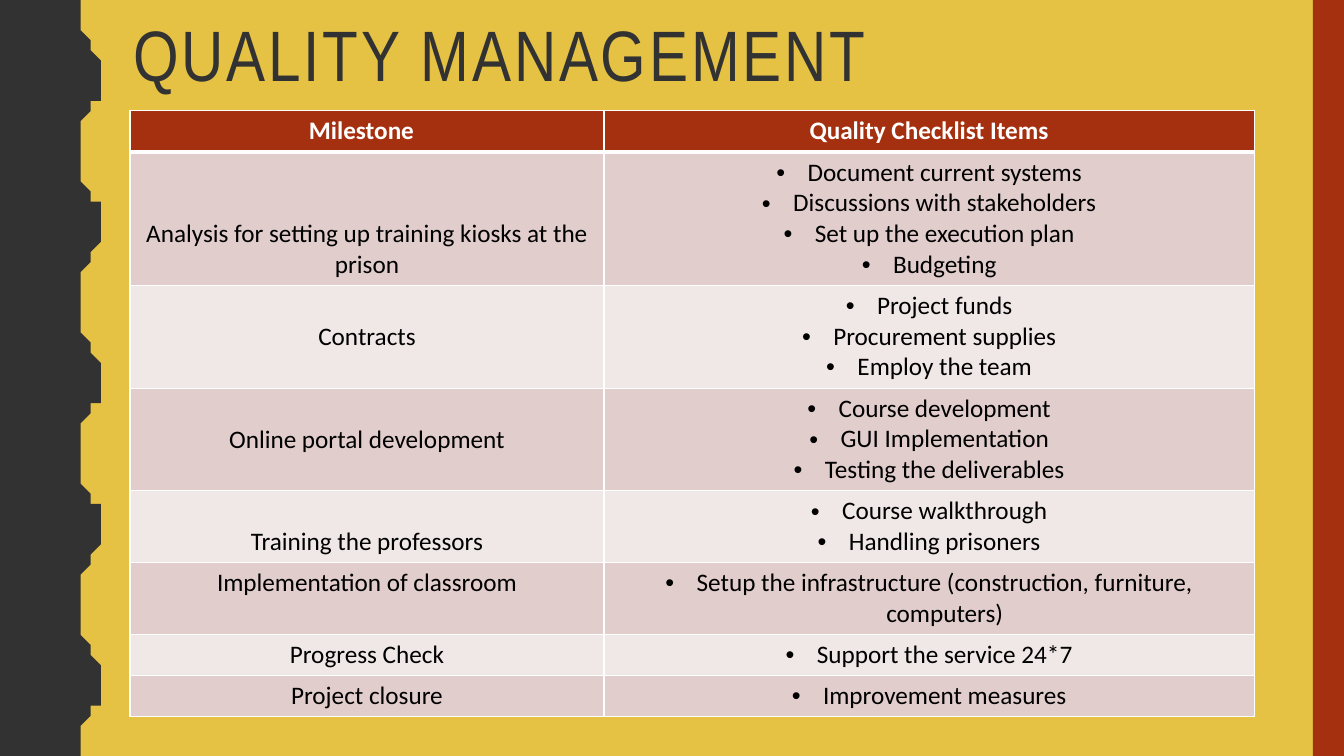
import pptx
import pptx.dml.color
import pptx.enum.shapes
import pptx.enum.text
import pptx.oxml.ns
import pptx.util
from lxml import etree

ALIGN = pptx.enum.text.PP_ALIGN
ANCHOR = pptx.enum.text.MSO_ANCHOR
COLORS = {
    "gold": "E5C243",
    "charcoal": "323232",
    "rust": "A5300F",
    "rose": "E1CDCC",
    "pale": "F0E8E7",
    "white": "FFFFFF",
    "black": "000000",
}

# Grid: square cells, ten to the inch
GRID_COLUMNS, GRID_ROWS = 133.3, 75

# Half of one wave, from trough to crest, as (column, row)
HALF_WAVE = [(7.8, 0), (7.8, 0.7), (7.9, 1.4), (8, 2), (8.1, 2.5), (8.3, 2.9),
             (8.5, 3.3), (8.7, 3.8), (8.9, 4.2), (9.1, 4.6), (9.3, 5),
             (9.5, 5.5), (9.6, 6.1), (9.7, 6.8), (9.7, 7.5)]
WAVE_COUNT = 5

# Milestone, its vertical place, row height, checklist items
MILESTONES = [
    ("Analysis for setting up training kiosks at the prison", ANCHOR.BOTTOM, 13.1,
     ["Document current systems", "Discussions with stakeholders",
      "Set up the execution plan", "Budgeting"]),
    ("Contracts", ANCHOR.MIDDLE, 10.2,
     ["Project funds", "Procurement supplies", "Employ the team"]),
    ("Online portal development", ANCHOR.MIDDLE, 10.2,
     ["Course development", "GUI Implementation", "Testing the deliverables"]),
    ("Training the professors", ANCHOR.BOTTOM, 7.1,
     ["Course walkthrough", "Handling prisoners"]),
    ("Implementation of classroom", ANCHOR.TOP, 7.1,
     ["Setup the infrastructure (construction, furniture, computers)"]),
    ("Progress Check", ANCHOR.TOP, 4.1, ["Support the service 24*7"]),
    ("Project closure", ANCHOR.TOP, 4.1, ["Improvement measures"]),
]


def grid(cells):
    return pptx.util.Inches(cells / 10)


def color(name):
    return pptx.dml.color.RGBColor.from_string(COLORS[name])


def add_element(parent, tag, **attributes):
    return etree.SubElement(parent, pptx.oxml.ns.qn(tag), attributes)


def write_text(frame, lines, font="Calibri", size=18, ink="black", bold=False,
               align=ALIGN.CENTER, bullet=False, line_spacing=None, tracking=None):
    for index, line in enumerate(lines):
        paragraph = frame.paragraphs[0] if index == 0 else frame.add_paragraph()
        paragraph.alignment = align
        if line_spacing:
            paragraph.line_spacing = line_spacing
        if bullet:
            properties = paragraph._p.get_or_add_pPr()
            properties.set("marL", str(grid(3.1)))
            properties.set("indent", str(-grid(3.1)))
            add_element(properties, "a:buFont", typeface="Arial")
            add_element(properties, "a:buChar", char="•")
        run = paragraph.add_run()
        run.text = line
        run.font.name = font
        run.font.size = pptx.util.Pt(size)
        run.font.bold = bold
        run.font.color.rgb = color(ink)
        if tracking:
            run._r.get_or_add_rPr().set("spc", str(tracking * 100))


class SlideBuilder:
    def __init__(self, presentation, background):
        self.slide = presentation.slides.add_slide(presentation.slide_layouts[5])
        self.slide.background.fill.solid()
        self.slide.background.fill.fore_color.rgb = color(background)

    def paint(self, shape, fill):
        shape.shadow.inherit = False
        shape.fill.solid()
        shape.fill.fore_color.rgb = color(fill)
        shape.line.fill.background()

    def title(self, text, left, top, width, height):
        title = self.slide.shapes.title
        title.left, title.top = grid(left), grid(top)
        title.width, title.height = grid(width), grid(height)
        frame = title.text_frame
        frame.word_wrap = True
        frame.auto_size = pptx.enum.text.MSO_AUTO_SIZE.NONE
        frame.vertical_anchor = ANCHOR.TOP
        write_text(frame, [text], font="Arial Narrow", size=51, ink="charcoal",
                   align=ALIGN.LEFT, line_spacing=0.9, tracking=2)

    def band(self, left, top, width, height, fill):
        shape = self.slide.shapes.add_shape(
            pptx.enum.shapes.MSO_SHAPE.RECTANGLE,
            grid(left), grid(top), grid(width), grid(height))
        self.paint(shape, fill)

    def wavy_edge(self, fill):
        period = GRID_ROWS / WAVE_COUNT
        falling = [(x, period - y) for x, y in reversed(HALF_WAVE[:-1])]
        edge = [(x, y + wave * period) for wave in range(WAVE_COUNT)
                for x, y in HALF_WAVE + falling]
        builder = self.slide.shapes.build_freeform(0, 0, scale=grid(1))
        builder.add_line_segments(edge + [(0, GRID_ROWS)], close=True)
        self.paint(builder.convert_to_shape(), fill)

    def table(self, left, top, widths, heights):
        table = self.slide.shapes.add_table(
            len(heights), len(widths), grid(left), grid(top),
            grid(sum(widths)), grid(sum(heights))).table
        for column, width in zip(table.columns, widths):
            column.width = grid(width)
        for row, height in zip(table.rows, heights):
            row.height = grid(height)
        return table

    def cell(self, cell, lines, fill, anchor=ANCHOR.TOP, top_line=1, bottom_line=1,
             **text_format):
        properties = cell._tc.get_or_add_tcPr()
        edges = {"L": 1, "R": 1, "T": top_line, "B": bottom_line}
        for side, points in edges.items():
            line = add_element(properties, f"a:ln{side}", w=str(pptx.util.Pt(points)))
            solid = add_element(line, "a:solidFill")
            add_element(solid, "a:srgbClr", val=COLORS["white"])
        cell.fill.solid()
        cell.fill.fore_color.rgb = color(fill)
        cell.vertical_anchor = anchor
        write_text(cell.text_frame, lines, **text_format)


def main():
    presentation = pptx.Presentation()
    presentation.slide_width = grid(GRID_COLUMNS)
    presentation.slide_height = grid(GRID_ROWS)
    builder = SlideBuilder(presentation, "gold")

    # Side decoration
    builder.wavy_edge("charcoal")
    builder.band(130.2, 0, 3.1, GRID_ROWS, "rust")

    # Title
    builder.title("QUALITY MANAGEMENT", 12.2, 1.5, 100, 10.4)

    # Table header
    heights = [4.1] + [milestone[2] for milestone in MILESTONES]
    table = builder.table(12.9, 11, [47, 64.5], heights)
    for column, heading in enumerate(["Milestone", "Quality Checklist Items"]):
        builder.cell(table.cell(0, column), [heading], "rust", bottom_line=3,
                     ink="white", bold=True)
    table.cell(0, 0).margin_right = grid(2.1)

    # Milestones and their checklists
    for row, (name, anchor, _, items) in enumerate(MILESTONES, start=1):
        look = {"fill": "rose" if row % 2 else "pale", "top_line": 3 if row == 1 else 1}
        builder.cell(table.cell(row, 0), [name], anchor=anchor, **look)
        builder.cell(table.cell(row, 1), items, bullet=True, **look)

    presentation.save("out.pptx")


if __name__ == "__main__":
    main()
